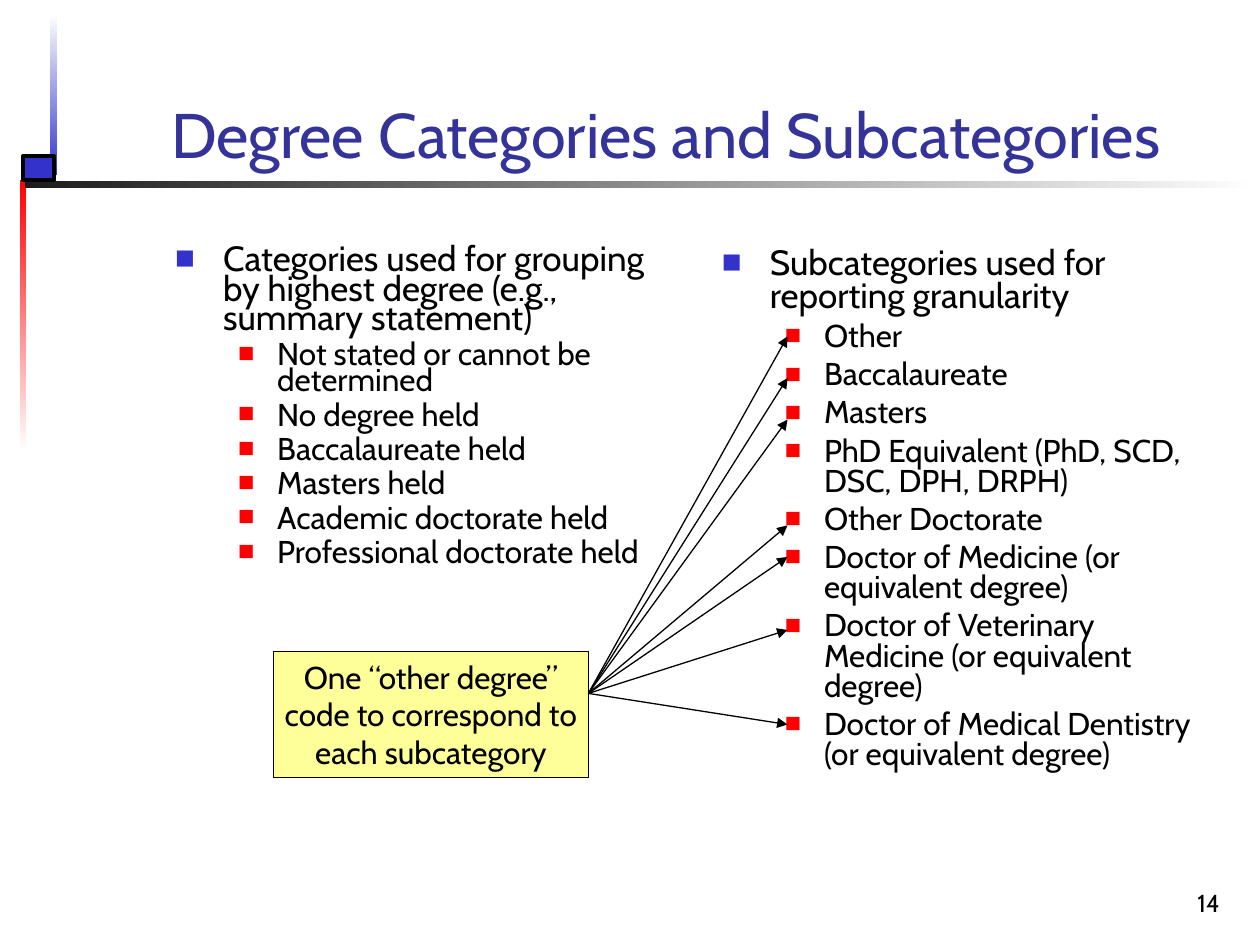
from dataclasses import dataclass

from lxml.etree import SubElement
from pptx import Presentation
from pptx.dml.color import RGBColor
from pptx.enum.shapes import MSO_CONNECTOR, MSO_SHAPE
from pptx.enum.text import MSO_ANCHOR, MSO_AUTO_SIZE, PP_ALIGN
from pptx.oxml.ns import qn
from pptx.util import Inches, Pt

# Content: each list is a heading followed by its sub-items
TITLE = "Degree Categories and Subcategories"
CATEGORIES = [
    "Categories used for grouping by highest degree (e.g., summary statement)",
    "Not stated or cannot be determined",
    "No degree held",
    "Baccalaureate held",
    "Masters held",
    "Academic doctorate held",
    "Professional doctorate held",
]
SUBCATEGORIES = [
    "Subcategories used for reporting granularity",
    "Other",
    "Baccalaureate",
    "Masters",
    "PhD Equivalent (PhD, SCD, DSC, DPH, DRPH)",
    "Other Doctorate",
    "Doctor of Medicine (or equivalent degree)",
    "Doctor of Veterinary Medicine (or equivalent degree)",
    "Doctor of Medical Dentistry (or equivalent degree)",
]
CALLOUT = ["One “other degree”", "code to correspond to", "each subcategory"]
PAGE_NUMBER = "14"


@dataclass(frozen=True)
class Theme:
    font: str = "Cabin"
    title: str = "333399"
    text: str = "000000"
    blue: str = "3333CC"
    red: str = "FF0000"
    dark: str = "1C1C1C"
    white: str = "FFFFFF"
    note: str = "FFFF99"
    title_size: int = 36
    heading_size: int = 20
    item_size: int = 18
    page_size: int = 14


T = Theme()
# Per list level: size, space before, left indent, hanging, bullet colour, bullet %
LEVELS = [
    (T.heading_size, 5, 0.38, 0.38, T.blue, 60),
    (T.item_size, 4.5, 0.81, 0.31, T.red, 55),
]

# Layout in inches
SLIDE_W, SLIDE_H = 10, 7.5
LIST_TOP, LIST_W = 1.92, 4.12
LIST_LEFT, LIST_GAP = 1.29, 0.22
NOTE_X, NOTE_Y, NOTE_W, NOTE_H = 2.17, 5.17, 2.5, 1
ARROW_START = (NOTE_X + NOTE_W, NOTE_Y + NOTE_H / 3)
ARROW_X = SLIDE_W * 0.625
ARROW_ENDS = [2.67, 3, 3.33, 4.17, 4.42, 5, 5.75]
# Master bars: box, start colour, end colour, angle (counter-clockwise)
BARS = [
    ((0.4, 0.11, 0.05, 1.28), T.white, T.blue, 270),
    ((0.16, 1.43, 0.05, 2.15), T.red, T.white, 270),
    ((0.2, 1.44, 9.8, 0.05), T.white, T.dark, 180),
]


def rgb(value):
    return RGBColor.from_string(value)


def place(sp, box):
    sp.left, sp.top, sp.width, sp.height = map(Inches, box)


def add_bullet(p, color, percent, indent, hanging):
    pPr = p._p.get_or_add_pPr()
    pPr.set("marL", str(Inches(indent)))
    pPr.set("indent", str(-Inches(hanging)))
    SubElement(SubElement(pPr, qn("a:buClr")), qn("a:srgbClr"), val=color)
    SubElement(pPr, qn("a:buSzPct"), val=str(percent * 1000))
    SubElement(pPr, qn("a:buFont"), typeface=T.font)
    SubElement(pPr, qn("a:buChar"), char="■")


def write(tf, lines, size=T.item_size, color=T.text, align=PP_ALIGN.LEFT,
          anchor=MSO_ANCHOR.TOP, wrap=True, spacing=None, bulleted=False):
    tf.auto_size = MSO_AUTO_SIZE.NONE
    tf.word_wrap = wrap
    tf.vertical_anchor = anchor
    for i, line in enumerate(lines):
        p = tf.paragraphs[0] if i == 0 else tf.add_paragraph()
        before = 0
        if bulleted:
            p.level = min(i, 1)
            size, before, indent, hanging, bullet, percent = LEVELS[p.level]
            add_bullet(p, bullet, percent, indent, hanging)
        p.alignment = align
        p.space_before = Pt(before if i else 0)
        if spacing:
            p.line_spacing = spacing
        r = p.add_run()
        r.text = line
        r.font.name, r.font.size, r.font.color.rgb = T.font, Pt(size), rgb(color)


def add_box(s, box, fill=None, line=None):
    sp = s.shapes.add_shape(MSO_SHAPE.RECTANGLE, *map(Inches, box))
    sp.shadow.inherit = False
    if fill:
        sp.fill.solid()
        sp.fill.fore_color.rgb = rgb(fill)
    if line:
        sp.line.color.rgb, sp.line.width = rgb(T.text), Pt(line)
    else:
        sp.line.fill.background()
    return sp


def add_bar(s, box, start, end, angle):
    fill = add_box(s, box).fill
    fill.gradient()
    fill.gradient_angle = angle
    for stop, color in zip(fill.gradient_stops, (start, end)):
        stop.color.rgb = rgb(color)


def add_arrow(s, start, end):
    cn = s.shapes.add_connector(MSO_CONNECTOR.STRAIGHT, *map(Inches, start + end))
    cn.line.color.rgb, cn.line.width = rgb(T.text), Pt(0.75)
    SubElement(cn.line._get_or_add_ln(), qn("a:tailEnd"), type="triangle")
    SubElement(cn._element.spPr, qn("a:effectLst"))


def main():
    prs = Presentation()
    prs.slide_width, prs.slide_height = Inches(SLIDE_W), Inches(SLIDE_H)
    s = prs.slides.add_slide(prs.slide_layouts[3])

    # Corner decoration
    for bar in BARS:
        add_bar(s, *bar)
    add_box(s, (0.18, 1.24, 0.25, 0.19), fill=T.blue, line=2.25)

    # Title
    title = s.shapes.title
    place(title, (1.26, 0.23, 8.52, 1.18))
    write(title.text_frame, [TITLE], size=T.title_size, color=T.title,
          anchor=MSO_ANCHOR.BOTTOM)

    # Two lists side by side
    lists = [(CATEGORIES, 3.25, 0.7), (SUBCATEGORIES, 4.79, 0.8)]
    for col, (lines, height, spacing) in enumerate(lists):
        body = s.placeholders[col + 1]
        place(body, (LIST_LEFT + col * (LIST_W + LIST_GAP), LIST_TOP, LIST_W, height))
        write(body.text_frame, lines, spacing=spacing, bulleted=True)

    # Callout with arrows to the subcategories
    note = add_box(s, (NOTE_X, NOTE_Y, NOTE_W, NOTE_H), fill=T.note, line=0.75)
    write(note.text_frame, CALLOUT, align=PP_ALIGN.CENTER,
          anchor=MSO_ANCHOR.MIDDLE, wrap=False)
    for y in ARROW_ENDS:
        add_arrow(s, ARROW_START, (ARROW_X, y))

    # Page number
    page = s.shapes.add_textbox(*map(Inches, (7.7, 6.83, 2.08, 0.5)))
    write(page.text_frame, [PAGE_NUMBER], size=T.page_size,
          align=PP_ALIGN.RIGHT, anchor=MSO_ANCHOR.BOTTOM)

    prs.save("out.pptx")


if __name__ == "__main__":
    main()
